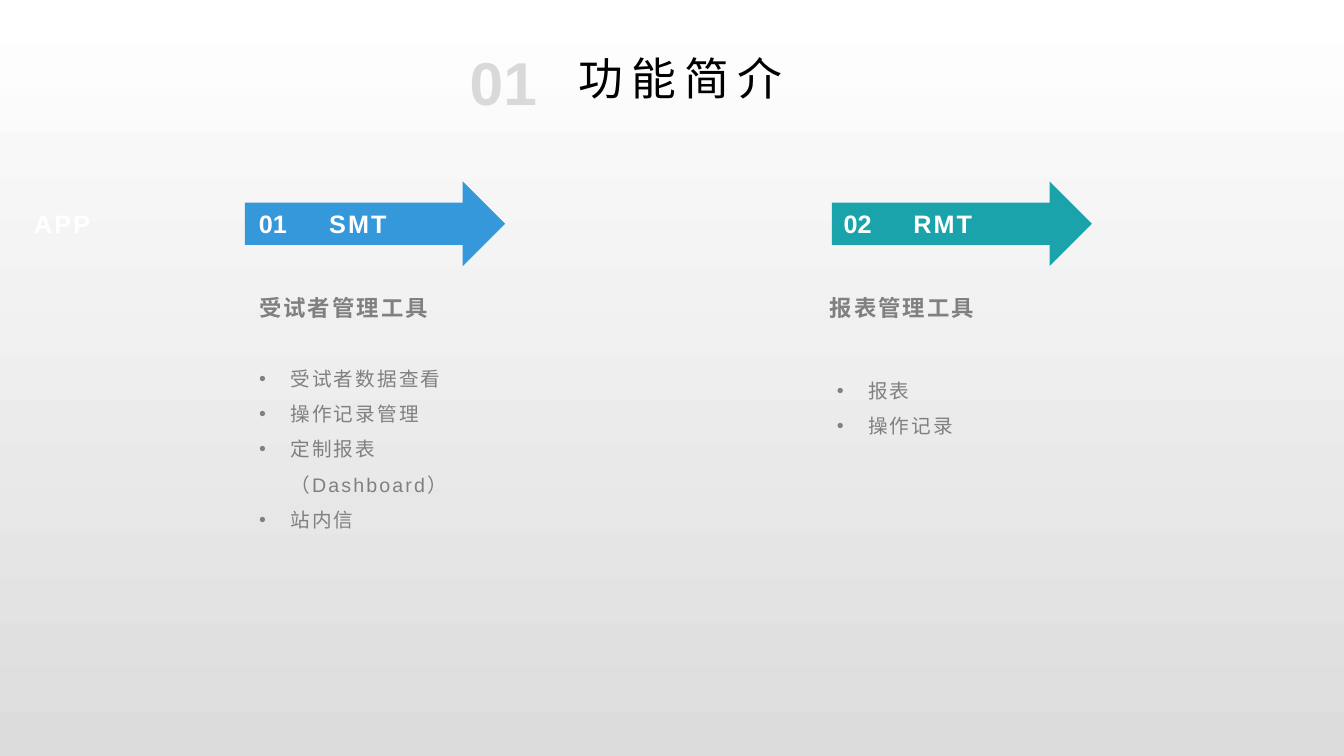
"""Build the feature overview slide with two arrow-headed columns."""
from pptx import Presentation, util as u
from pptx.dml.color import RGBColor
from pptx.enum import shapes, text
from pptx.oxml.ns import qn
from lxml import etree

BLACK = RGBColor(0x00, 0x00, 0x00)
WHITE = RGBColor(0xFF, 0xFF, 0xFF)
SILVER = RGBColor(0xDC, 0xDC, 0xDC)
PALE = RGBColor(0xD9, 0xD9, 0xD9)
GRAY = RGBColor(0x80, 0x80, 0x80)
BLUE = RGBColor(0x34, 0x98, 0xDB)
TEAL = RGBColor(0x1A, 0xA3, 0xAA)

presentation = Presentation()
presentation.slide_width = u.Inches(13.33)
presentation.slide_height = u.Inches(7.5)
slide = presentation.slides.add_slide(presentation.slide_layouts[4])
title, *bodies = slide.placeholders

background = slide.background.fill
background.gradient()
background.gradient_angle = 270
for stop, color, position in zip(background.gradient_stops, (WHITE, SILVER), (0, 1)):
    stop.color.rgb = color
    stop.position = position


def area(left, top, width, height):
    """Turn percentages of the slide into a rectangle."""
    across, down = presentation.slide_width / 100, presentation.slide_height / 100
    return [int(left * across), int(top * down), int(width * across), int(height * down)]


def write(content, box, shape=None, size=18, color=WHITE, bold=True, tracking=0,
          align=text.PP_ALIGN.LEFT, anchor=text.MSO_ANCHOR.TOP, spacing=1.0,
          before=0, bullet=False, top_inset=0.05, right_inset=0.1):
    """Write lines into a placeholder or a new text box."""
    shape = shape or slide.shapes.add_textbox(*area(*box))
    shape.left, shape.top, shape.width, shape.height = area(*box)
    frame = shape.text_frame
    frame.text = content
    frame.word_wrap = True
    frame.auto_size = text.MSO_AUTO_SIZE.NONE
    frame.vertical_anchor = anchor
    frame.margin_top = u.Inches(top_inset)
    frame.margin_right = u.Inches(right_inset)
    for paragraph in frame.paragraphs:
        paragraph.alignment = align
        paragraph.line_spacing = spacing
        paragraph.space_before = u.Pt(before)
        properties = paragraph._p.get_or_add_pPr()
        indent = u.Inches(0.31) if bullet else 0
        properties.set("marL", str(indent))
        properties.set("indent", str(-indent))
        if bullet:
            etree.SubElement(properties, qn("a:buFont")).set("typeface", "Arial")
            etree.SubElement(properties, qn("a:buChar")).set("char", "•")
        for run in paragraph.runs:
            run.font.name = "Arial"
            run.font.size = u.Pt(size)
            run.font.bold = bold
            run.font.color.rgb = color
            run._r.get_or_add_rPr().set("spc", str(int(tracking * 100)))


write("功能简介", (5.85, 5.87, 89.05, 8.67), title, size=32, color=BLACK, bold=False,
      tracking=6, align=text.PP_ALIGN.CENTER, anchor=text.MSO_ANCHOR.MIDDLE,
      right_inset=0.03)
write("01", (34.21, 2.93, 8.33, 13.73), size=43.2, color=PALE, spacing=1.2, before=10,
      anchor=text.MSO_ANCHOR.MIDDLE)
write("APP", (1.8, 26.93, 7.5, 5.33), tracking=1.5)

columns = [
    dict(number="01", name="SMT", color=BLUE, arrow=18.23, number_left=18.53,
         name_left=22.13, name_width=9, heading="受试者管理工具", heading_left=18.53,
         items=["受试者数据查看", "操作记录管理", "定制报表 （Dashboard）", "站内信"],
         list_box=(18.53, 43.2, 21.68, 24.93), list_inset=0.28),
    dict(number="02", name="RMT", color=TEAL, arrow=61.89, number_left=62.04,
         name_left=65.94, name_width=8.4, heading="报表管理工具", heading_left=60.99,
         items=["报表", "操作记录"],
         list_box=(61.52, 47.87, 21.61, 10.8), list_inset=0.05),
]

for column, heading, listing in zip(columns, bodies[::2], bodies[1::2]):
    arrow = slide.shapes.add_shape(shapes.MSO_SHAPE.RIGHT_ARROW,
                                   *area(column["arrow"], 24, 19.35, 11.2))
    arrow.shadow.inherit = False
    arrow.fill.solid()
    arrow.fill.fore_color.rgb = column["color"]
    arrow.line.fill.background()
    write(column["number"], (column["number_left"], 26.93, 3.98, 5.33))
    write(column["name"], (column["name_left"], 26.93, column["name_width"], 5.33),
          tracking=1.5, align=text.PP_ALIGN.CENTER)
    write(column["heading"], (column["heading_left"], 38.27, 17.25, 4.93), heading,
          size=16, color=GRAY, tracking=1.5)
    write("\n".join(column["items"]), column["list_box"], listing, size=14, color=GRAY,
          bold=False, tracking=1.5, spacing=1.5, bullet=True,
          top_inset=column["list_inset"])

presentation.save("out.pptx")
